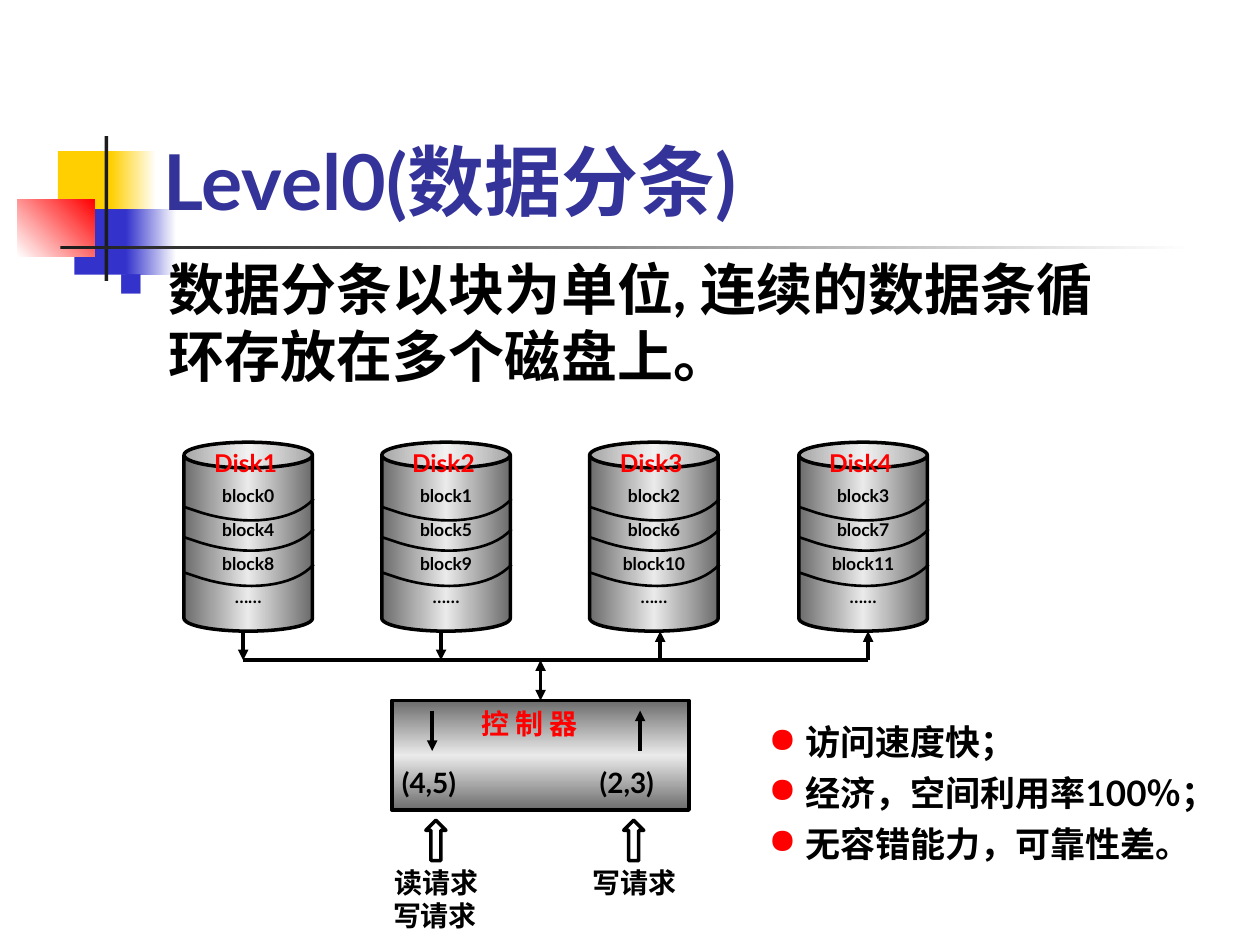
import copy

import pptx
import pptx.dml.color
import pptx.enum.shapes
import pptx.enum.text
import pptx.oxml.ns
import pptx.util
from pptx.util import Inches

FONT = "Lato"
BLACK, RED, WHITE = "000000", "FF0000", "FFFFFF"
YELLOW, BLUE, DARK = "FFCF01", "3333CC", "1C1C1C"
METAL = ["6C6C6C", "EAEAEA", "6C6C6C"]
SHAPE = pptx.enum.shapes.MSO_SHAPE
ALIGN = pptx.enum.text.PP_ALIGN
ANCHOR = pptx.enum.text.MSO_ANCHOR

DISK_LEFTS = [1.46, 3.03, 4.68, 6.34]
DISK_TOP, DISK_WIDTH, DISK_HEIGHT = 3.51, 1.02, 1.5
BUS_TOP = 5.24


def color(hex_string):
    return pptx.dml.color.RGBColor.from_string(hex_string)


def add_element(parent, tag, **attributes):
    element = parent.makeelement(pptx.oxml.ns.qn(tag), attributes)
    parent.append(element)
    return element


def set_fill(shape, colors, angle=0):
    """Fill with nothing, one colour, or an even gradient (counter-clockwise angle)."""
    if not colors:
        shape.fill.background()
    elif len(colors) == 1:
        shape.fill.solid()
        shape.fill.fore_color.rgb = color(colors[0])
    else:
        shape.fill.gradient()
        shape.fill.gradient_angle = angle
        stop_list = next(shape._element.spPr.iter(pptx.oxml.ns.qn("a:gsLst")))
        while len(stop_list) < len(colors):
            stop_list.append(copy.deepcopy(stop_list[-1]))
        for index, stop in enumerate(shape.fill.gradient_stops):
            stop.color.rgb = color(colors[index])
            stop.position = index / (len(colors) - 1)


def set_line(shape, width):
    if width:
        shape.line.color.rgb = color(BLACK)
        shape.line.width = pptx.util.Pt(width)
    else:
        shape.line.fill.background()


def add_block(slide, kind, left, top, width, height, colors=(), angle=0, line=0):
    shape = slide.shapes.add_shape(
        kind, Inches(left), Inches(top), Inches(width), Inches(height))
    shape.shadow.inherit = False
    set_fill(shape, colors, angle)
    set_line(shape, line)
    return shape


def add_bullet(paragraph, mark, hex_string, indent, percent):
    properties = paragraph._p.get_or_add_pPr()
    properties.set("marL", str(Inches(indent)))
    properties.set("indent", str(-Inches(indent)))
    bullet_color = add_element(properties, "a:buClr")
    add_element(bullet_color, "a:srgbClr", val=hex_string)
    add_element(properties, "a:buSzPct", val=str(percent * 1000))
    add_element(properties, "a:buChar", char=mark)


def write_text(shape, lines, size, hex_string=BLACK, align=ALIGN.LEFT,
               anchor=ANCHOR.TOP, gap=0, spacing=None, bullet=None):
    frame = shape.text_frame
    frame.word_wrap = True
    frame.vertical_anchor = anchor
    frame.margin_left = frame.margin_right = frame.margin_top = frame.margin_bottom = 0
    frame.text = "\n".join(lines)
    for index, paragraph in enumerate(frame.paragraphs):
        if bullet:
            add_bullet(paragraph, *bullet)
        paragraph.alignment = align
        paragraph.space_before = pptx.util.Pt(gap if index else 0)
        if spacing:
            paragraph.line_spacing = spacing
        paragraph.font.name = FONT
        paragraph.font.size = pptx.util.Pt(size)
        paragraph.font.bold = True
        paragraph.font.color.rgb = color(hex_string)


def add_text(slide, left, top, width, height, lines, size, **style):
    box = slide.shapes.add_textbox(
        Inches(left), Inches(top), Inches(width), Inches(height))
    write_text(box, lines, size, **style)


def add_line(slide, start, end, head=False, tail=False):
    """Draw a line; head and tail put arrowheads at its start and end."""
    line = slide.shapes.add_connector(
        pptx.enum.shapes.MSO_CONNECTOR.STRAIGHT,
        Inches(start[0]), Inches(start[1]), Inches(end[0]), Inches(end[1]))
    set_line(line, 2)
    outline = line.line._get_or_add_ln()
    if head:
        add_element(outline, "a:headEnd", type="triangle")
    if tail:
        add_element(outline, "a:tailEnd", type="triangle")
    add_element(line._element.spPr, "a:effectLst")


def bezier(points, steps=16):
    for step in range(1, steps + 1):
        t = step / steps
        weights = [(1 - t) ** 3, 3 * t * (1 - t) ** 2, 3 * t * t * (1 - t), t ** 3]
        yield tuple(Inches(sum(w * p[axis] for w, p in zip(weights, points)))
                    for axis in (0, 1))


def add_disk_divider(slide, left, top):
    offsets = [(1.03, 0), (0.87, 0.18), (0.5, 0.22), (0.14, 0.11), (-0.01, 0.06)]
    right_end, *controls, left_end = [(left + x, top + y) for x, y in offsets]
    builder = slide.shapes.build_freeform(Inches(right_end[0]), Inches(right_end[1]))
    arc = list(bezier([right_end, *controls]))
    arc.append((Inches(left_end[0]), Inches(left_end[1])))
    builder.add_line_segments(arc, close=False)
    divider = builder.convert_to_shape()
    divider.shadow.inherit = False
    set_fill(divider, [])
    set_line(divider, 1.5)


def add_disk(slide, index, left):
    can = add_block(slide, SHAPE.CAN, left, DISK_TOP, DISK_WIDTH, DISK_HEIGHT,
                    METAL, line=2)
    can.adjustments[0] = 0.2
    blocks = [f"block{index + row * len(DISK_LEFTS)}" for row in range(3)]
    write_text(can, blocks + ["……"], 10, align=ALIGN.CENTER,
               anchor=ANCHOR.MIDDLE, spacing=1.6)
    can.text_frame.margin_bottom = Inches(0.05)
    can.text_frame.word_wrap = False
    add_text(slide, left + 0.24, 3.56, 0.55, 0.23, [f"Disk{index + 1}"], 14,
             hex_string=RED)
    for top in (3.96, 4.2, 4.48):
        add_disk_divider(slide, left, top)


def add_decoration(slide):
    for left, top, width, height, colors, angle in [
        (0.46, 1.2, 0.48, 0.52, [YELLOW], 0),
        (0.88, 1.2, 0.36, 0.52, [YELLOW, WHITE], 0),
        (0.59, 1.66, 0.46, 0.52, [BLUE], 0),
        (1, 1.66, 0.4, 0.52, [BLUE, WHITE], 0),
        (0.14, 1.58, 0.61, 0.46, [WHITE, RED], 45),
        (0.83, 1.08, 0.03, 1.15, [DARK], 0),
        (0.48, 1.95, 9, 0.03, [DARK, WHITE], 0),
    ]:
        add_block(slide, SHAPE.RECTANGLE, left, top, width, height, colors, angle)


def add_title(slide):
    title = slide.shapes.title
    title.left, title.top = Inches(1.3), Inches(1.06)
    title.width, title.height = Inches(6.5), Inches(0.73)
    write_text(title, ["Level0(数据分条)"], 44, hex_string="333399",
               anchor=ANCHOR.BOTTOM)
    slide.shapes._spTree.append(title._element)  # in front of the decoration


def add_bus(slide):
    for x, writes in [(1.93, False), (3.5, False), (5.24, True), (6.89, True)]:
        add_line(slide, (x, DISK_TOP + DISK_HEIGHT), (x, BUS_TOP),
                 head=writes, tail=not writes)
    add_line(slide, (1.93, BUS_TOP), (6.89, BUS_TOP))
    add_line(slide, (4.29, BUS_TOP), (4.29, 5.56), head=True, tail=True)


def add_controller(slide):
    add_block(slide, SHAPE.RECTANGLE, 3.11, 5.56, 2.36, 0.87, METAL, 90, line=2)
    add_text(slide, 3.82, 5.61, 0.87, 0.53, ["控 制 器"], 16, hex_string=RED)
    add_line(slide, (3.43, 5.64), (3.43, 5.96), tail=True)
    add_line(slide, (5.08, 5.64), (5.08, 5.96), head=True)
    for left, blocks, request in [(3.11, "(4,5)", "读请求"), (4.68, "(2,3)", "写请求")]:
        add_text(slide, left + 0.08, 6.08, 0.63, 0.27, [blocks], 16)
        add_block(slide, SHAPE.UP_ARROW, left + 0.27, 6.51, 0.16, 0.32, line=2)
        add_text(slide, left, 6.87, 0.71, 0.27, [request], 16, align=ALIGN.CENTER)
    add_text(slide, 3.12, 7.13, 0.7, 0.27, ["写请求"], 16)


def main():
    deck = pptx.Presentation()
    deck.slide_width, deck.slide_height = Inches(10), Inches(7.5)
    slide = deck.slides.add_slide(deck.slide_layouts[5])
    add_decoration(slide)
    add_title(slide)
    add_text(slide, 0.94, 2.02, 7.95, 1.07,
             ["数据分条以块为单位, 连续的数据条循环存放在多个磁盘上。"], 32,
             bullet=("■", BLUE, 0.4, 60))
    add_text(slide, 6.1, 5.72, 3.7, 1.14,
             ["访问速度快；", "经济，空间利用率100％；", "无容错能力，可靠性差。"], 20,
             gap=5, bullet=("●", RED, 0.29, 100))
    for index, left in enumerate(DISK_LEFTS):
        add_disk(slide, index, left)
    add_bus(slide)
    add_controller(slide)
    deck.save("out.pptx")


if __name__ == "__main__":
    main()
